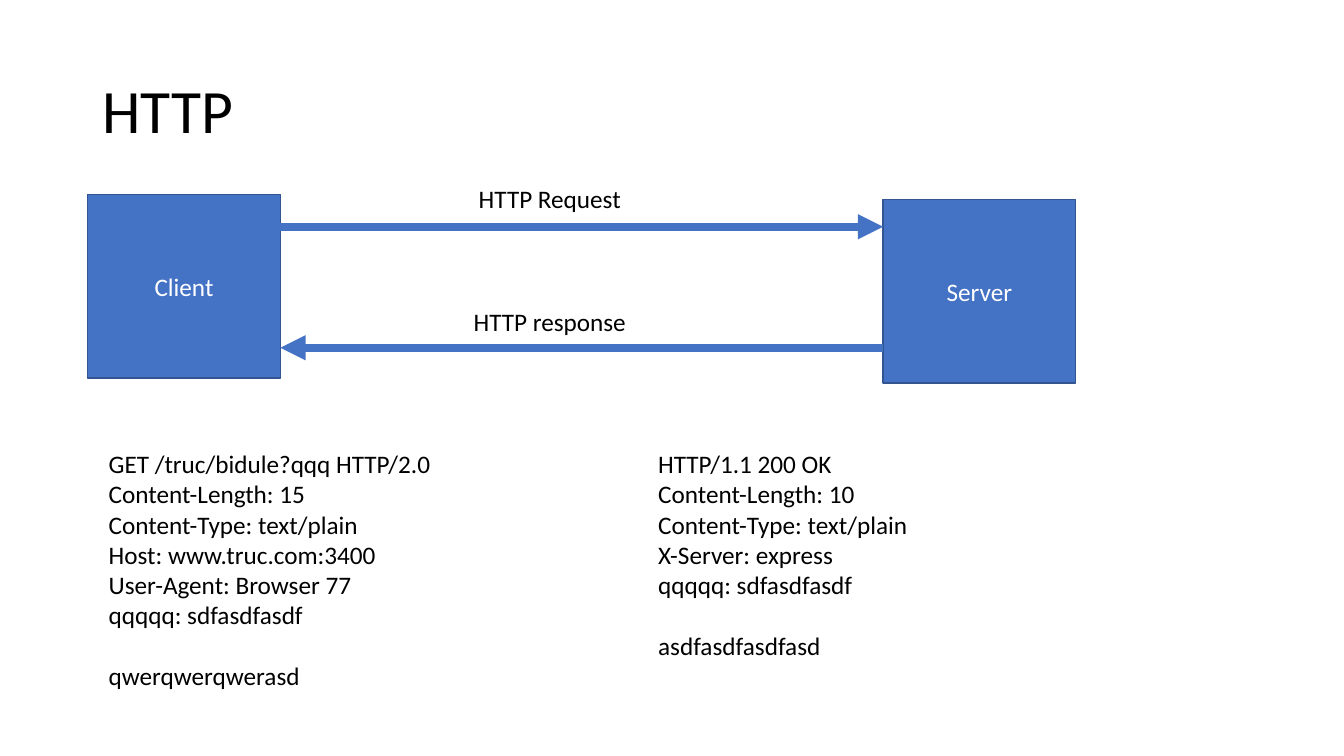
from lxml.etree import SubElement
from pptx import Presentation
from pptx.dml.color import RGBColor
from pptx.enum.shapes import MSO_CONNECTOR, MSO_SHAPE
from pptx.enum.text import MSO_ANCHOR, MSO_AUTO_SIZE, PP_ALIGN
from pptx.oxml.ns import qn
from pptx.util import Inches, Pt

SLIDE_WIDTH, SLIDE_HEIGHT = Inches(13.33), Inches(7.5)
BLUE, EDGE, BLACK, WHITE = "4472C4", "325491", "000000", "FFFFFF"
BODY_SIZE, LINE_HEIGHT = Pt(18), Pt(22)

# Places are percentages of the slide's width and height.
HOST_WIDTH, HOST_HEIGHT = 14.33, 24.27
CLIENT_LEFT, SERVER_LEFT = 6.53, 65.71
CLIENT_RIGHT = CLIENT_LEFT + HOST_WIDTH
HOSTS = [("Client", CLIENT_LEFT, 25.73), ("Server", SERVER_LEFT, 26.4)]
EXCHANGES = [
    ("HTTP Request", CLIENT_RIGHT, SERVER_LEFT, 30, (34.88, 23.6, 12.23, 5.33)),
    ("HTTP response", SERVER_LEFT, CLIENT_RIGHT, 46, (34.5, 39.87, 12.98, 5.33)),
]
MESSAGES = [
    ((7.35, 58.67, 25.73, 33.6),
     ["GET /truc/bidule?qqq HTTP/2.0", "Content-Length: 15",
      "Content-Type: text/plain", "Host: www.truc.com:3400",
      "User-Agent: Browser 77", "qqqqq: sdfasdfasdf"],
     "qwerqwerqwerasd"),
    ((48.23, 58.67, 21.15, 33.6),
     ["HTTP/1.1 200 OK", "Content-Length: 10", "Content-Type: text/plain",
      "X-Server: express", "qqqqq: sdfasdfasdf"],
     "asdfasdfasdfasd"),
]


def color(hex_code):
    """Turn a hex string into a colour."""
    return RGBColor.from_string(hex_code)


def across(share):
    """Convert a percentage of the slide's width to a length."""
    return round(SLIDE_WIDTH * share / 100)


def down(share):
    """Convert a percentage of the slide's height to a length."""
    return round(SLIDE_HEIGHT * share / 100)


def area(left, top, width, height):
    """Convert a place in percentages to lengths."""
    return across(left), down(top), across(width), down(height)


def apply(target, values):
    """Set each format value on the target."""
    for attribute, value in values.items():
        setattr(target, attribute, value)


def write(frame, lines, hex_code, size=BODY_SIZE, **paragraph_format):
    """Fill a text frame with one formatted paragraph per line."""
    frame.text = "\n".join(lines)
    for paragraph in frame.paragraphs:
        apply(paragraph, paragraph_format)
        for run in paragraph.runs:
            apply(run.font, {"name": "Calibri", "size": size})
            run.font.color.rgb = color(hex_code)


def add_title(slide, words):
    """Place and format the title."""
    title = slide.shapes.title
    place = area(6.88, 5.33, 86.25, 19.33)
    apply(title, dict(zip(("left", "top", "width", "height"), place)))
    apply(title.text_frame, {"vertical_anchor": MSO_ANCHOR.MIDDLE,
                             "auto_size": MSO_AUTO_SIZE.NONE})
    write(title.text_frame, [words], BLACK, Pt(44),
          alignment=PP_ALIGN.LEFT, line_spacing=0.9)


def add_host(slide, name, left, top):
    """Draw one end of the exchange as a labelled box."""
    host = slide.shapes.add_shape(
        MSO_SHAPE.RECTANGLE, *area(left, top, HOST_WIDTH, HOST_HEIGHT))
    host.shadow.inherit = False
    host.fill.solid()
    host.fill.fore_color.rgb = color(BLUE)
    host.line.color.rgb = color(EDGE)
    host.line.width = Pt(1)
    host.text_frame.vertical_anchor = MSO_ANCHOR.MIDDLE
    write(host.text_frame, [name], WHITE, alignment=PP_ALIGN.CENTER)


def add_arrow(slide, start, end, level):
    """Draw a level arrow from start to end."""
    arrow = slide.shapes.add_connector(
        MSO_CONNECTOR.STRAIGHT, across(start), down(level), across(end), down(level))
    arrow.line.color.rgb = color(BLUE)
    arrow.line.width = Pt(6)
    SubElement(arrow.line._get_or_add_ln(), qn("a:tailEnd"), type="triangle")
    SubElement(arrow._element.spPr, qn("a:effectLst"))


def add_text(slide, place, lines):
    """Add an unwrapped text box and return its frame."""
    frame = slide.shapes.add_textbox(*area(*place)).text_frame
    apply(frame, {"word_wrap": False, "auto_size": MSO_AUTO_SIZE.SHAPE_TO_FIT_TEXT})
    write(frame, lines, BLACK)
    return frame


def add_message(slide, place, headers, payload):
    """Write the headers, then the payload one line's height below."""
    frame = add_text(slide, place, headers + [payload])
    frame.paragraphs[-1].space_before = LINE_HEIGHT


def main():
    """Build the slide and save it."""
    deck = Presentation()
    apply(deck, {"slide_width": SLIDE_WIDTH, "slide_height": SLIDE_HEIGHT})
    slide = deck.slides.add_slide(deck.slide_layouts.get_by_name("Title Only"))
    add_title(slide, "HTTP")
    for host in HOSTS:
        add_host(slide, *host)
    for label, start, end, level, place in EXCHANGES:
        add_arrow(slide, start, end, level)
        add_text(slide, place, [label])
    for message in MESSAGES:
        add_message(slide, *message)
    deck.save("out.pptx")


main()
